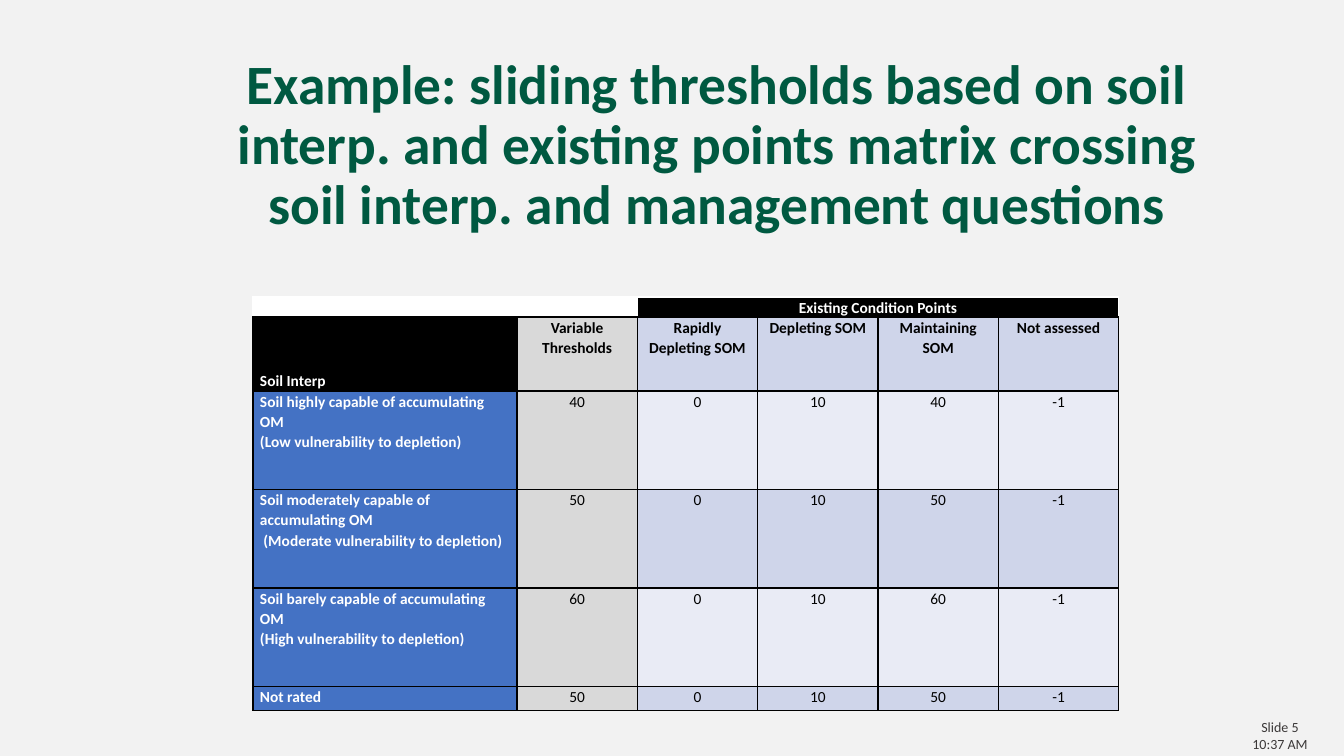
"""Build the soil threshold slide with its title, points table and footer."""
from dataclasses import dataclass

from lxml import etree
from pptx import Presentation
from pptx.dml.color import RGBColor
from pptx.enum.text import MSO_ANCHOR as Anchor, PP_ALIGN as Align
from pptx.oxml.ns import qn
from pptx.util import Emu, Pt


@dataclass(frozen=True)
class Theme:
    font: str = "Calibri"
    page: str = "F2F2F2"
    title: str = "005941"
    footer: str = "3B3838"
    black: str = "000000"
    white: str = "FFFFFF"
    label: str = "4472C4"
    threshold: str = "D9D9D9"
    band_dark: str = "CFD5EA"
    band_light: str = "E9EBF5"
    title_size: float = 39.6
    table_size: float = 11
    footer_size: float = 10


T = Theme()
PX = 914400 / 100.8


def px(n):
    return Emu(round(n * PX))


def write(tf, text, size, color, bold=False, align=Align.CENTER, spacing=1.0):
    tf.word_wrap = True
    for i, line in enumerate(text.split("\n")):
        p = tf.add_paragraph() if i else tf.paragraphs[0]
        p.alignment, p.line_spacing = align, spacing
        if not line:
            etree.SubElement(p._p, qn("a:endParaRPr"), sz=str(round(size * 100)))
            continue
        r = p.add_run()
        r.text = line
        r.font.name, r.font.size, r.font.bold = T.font, Pt(size), bold
        r.font.color.rgb = RGBColor.from_string(color)


prs = Presentation()
prs.slide_width, prs.slide_height = px(1344), px(756)
s = prs.slides.add_slide(prs.slide_layouts[6])
s.background.fill.solid()
s.background.fill.fore_color.rgb = RGBColor.from_string(T.page)

footer = s.shapes.add_textbox(px(1216), px(714), px(128), px(44))
write(footer.text_frame, "Slide 5\n10:37 AM", T.footer_size, T.footer)

title = s.shapes.add_textbox(px(223), px(100), px(988), px(93))
title.text_frame.vertical_anchor = Anchor.MIDDLE
write(title.text_frame,
      "Example: sliding thresholds based on soil interp. and existing points "
      "matrix crossing soil interp. and management questions",
      T.title_size, T.title, bold=True, spacing=0.9)

rows = [
    ["", "", "Existing Condition Points", "", "", ""],
    ["Soil Interp", "Variable Thresholds", "Rapidly Depleting SOM",
     "Depleting SOM", "Maintaining SOM", "Not assessed"],
    ["Soil highly capable of accumulating OM\n(Low vulnerability to depletion)",
     "40", "0", "10", "40", "-1"],
    ["Soil moderately capable of accumulating OM\n (Moderate vulnerability to depletion)",
     "50", "0", "10", "50", "-1"],
    ["Soil barely capable of accumulating OM\n(High vulnerability to depletion)",
     "60", "0", "10", "60", "-1"],
    ["Not rated", "50", "0", "10", "50", "-1"],
]
col_widths = [264] + [120.4] * 5
row_heights = [20, 74, 98.6, 98.6, 98.6, 24]

frame = s.shapes.add_table(len(rows), len(col_widths), px(253), px(297),
                           px(sum(col_widths)), px(sum(row_heights)))
table = frame.table
for col, width in zip(table.columns, col_widths):
    col.width = px(width)
for row, height in zip(table.rows, row_heights):
    row.height = px(height)
table.cell(0, 2).merge(table.cell(0, 5))

for i, texts in enumerate(rows):
    for j, text in enumerate(texts):
        cell = table.cell(i, j)
        cell.margin_left = cell.margin_right = px(7)
        cell.margin_top = cell.margin_bottom = 0
        top, label = i == 0, j == 0

        for side in ("L", "R", "T", "B"):
            color = T.white if top and side != "B" else T.black
            ln = etree.SubElement(cell._tc.get_or_add_tcPr(), qn("a:ln" + side), w=str(Pt(1)))
            solid = etree.SubElement(ln, qn("a:solidFill"))
            etree.SubElement(solid, qn("a:srgbClr"), val=color)

        if top:
            fill = T.white if j < 2 else T.black
        elif label:
            fill = T.black if i == 1 else T.label
        elif j == 1:
            fill = T.threshold
        else:
            fill = T.band_dark if i % 2 else T.band_light
        cell.fill.solid()
        cell.fill.fore_color.rgb = RGBColor.from_string(fill)

        if label and i == 1:
            cell.vertical_anchor = Anchor.BOTTOM
        write(cell.text_frame, text, T.table_size,
              T.white if top or label else T.black,
              bold=i < 2 or label,
              align=Align.LEFT if label else Align.CENTER, spacing=1.07)

prs.save("out.pptx")
